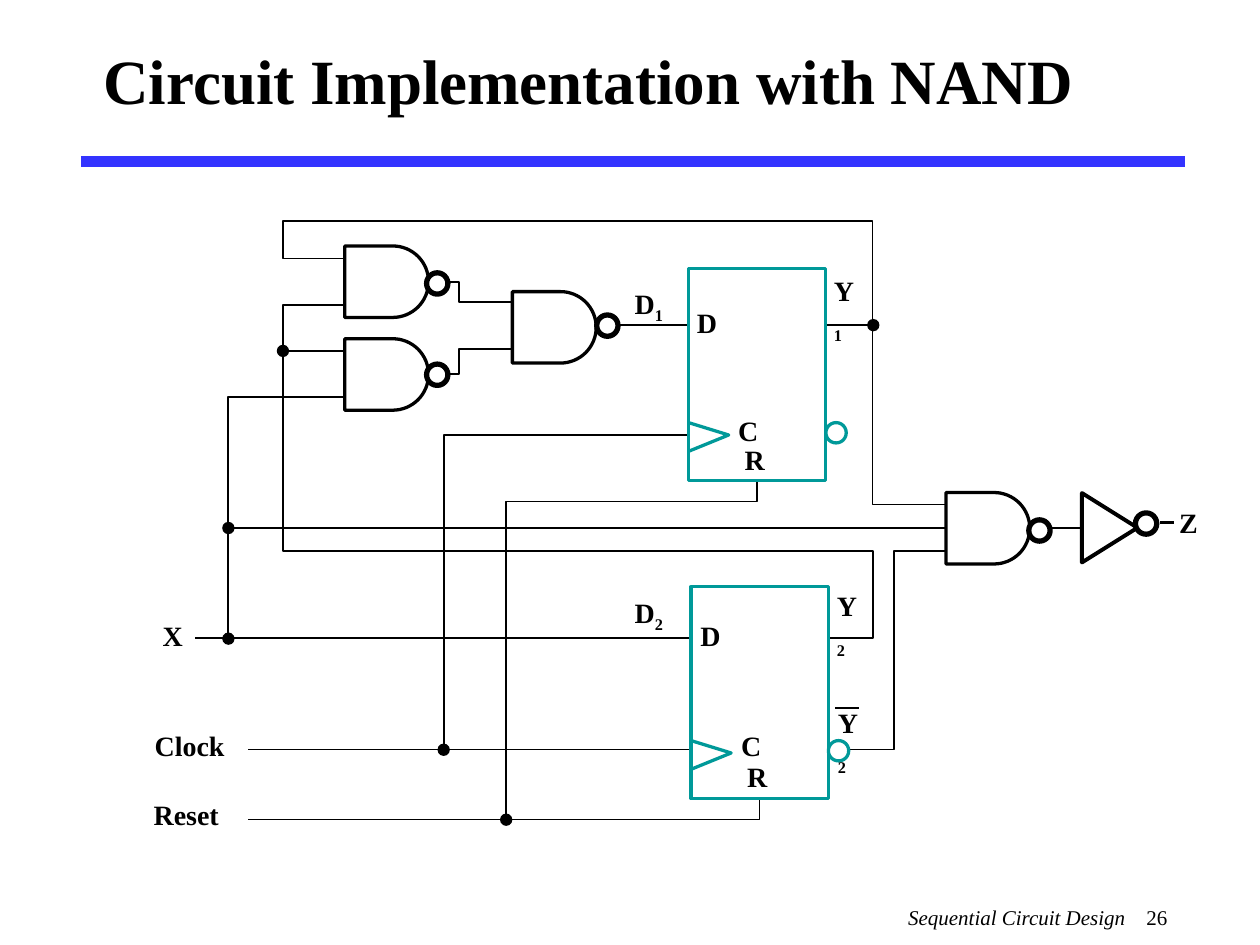
from dataclasses import dataclass
from math import cos, pi, sin

from lxml import etree
from pptx import Presentation
from pptx.dml.color import RGBColor
from pptx.enum import shapes, text
from pptx.oxml.ns import qn
from pptx.util import Cm, Pt


@dataclass(frozen=True)
class Theme:
    font: str = "Times New Roman"
    black: RGBColor = RGBColor(0, 0, 0)
    white: RGBColor = RGBColor(255, 255, 255)
    teal: RGBColor = RGBColor(0x00, 0x99, 0x99)
    blue: RGBColor = RGBColor(0x33, 0x33, 0xFF)
    title: int = 36
    label: int = 16
    footer: int = 12
    wire: float = 1
    bar: float = 1.5
    outline: float = 1.87
    inverter: float = 2.25
    bubble: float = 3
    rule: float = 6


T = Theme()
SHAPE = shapes.MSO_SHAPE
ALIGN = text.PP_ALIGN

prs = Presentation()
prs.slide_width, prs.slide_height = Cm(25.4), Cm(19.05)
s = prs.slides.add_slide(prs.slide_layouts[5])


def paint(sp, fill, line, width):
    sp.shadow.inherit = False
    if fill is None:
        sp.fill.background()
    else:
        sp.fill.solid()
        sp.fill.fore_color.rgb = fill
    if line is None:
        sp.line.fill.background()
    else:
        sp.line.color.rgb = line
        sp.line.width = Pt(width)


def write(p, content, size, bold=False, italic=False):
    r = p.add_run()
    r.text = content
    r.font.name, r.font.size = T.font, Pt(size)
    r.font.bold, r.font.italic = bold, italic
    r.font.color.rgb = T.black
    return r


title = s.shapes.title
title.left, title.top, title.width, title.height = Cm(1.83), Cm(0.18), Cm(21.59), Cm(2.84)
tf = title.text_frame
tf.vertical_anchor = text.MSO_ANCHOR.MIDDLE
p = tf.paragraphs[0]
p.alignment = ALIGN.LEFT
write(p, "Circuit Implementation with NAND", T.title, bold=True)

footer = s.shapes.add_textbox(Cm(18.06), Cm(18.11), Cm(5.92), Cm(0.94))
footer.text_frame.word_wrap = True
p = footer.text_frame.paragraphs[0]
tabs = etree.SubElement(p._p.get_or_add_pPr(), qn("a:tabLst"))
etree.SubElement(tabs, qn("a:tab"), pos=str(Cm(4.8)), algn="l")
write(p, "Sequential Circuit Design\t", T.footer, italic=True)
write(p, "26", T.footer)

straight_lines = [
    (1.63, 3.26, 23.88, 3.26, T.blue, T.rule),
    (4.57, 10.64, 21.79, 10.64, T.black, T.wire),
    (5.69, 7.07, 7.42, 7.07, T.black, T.wire),
    (17.6, 6.55, 10.62, 6.55, T.black, T.wire),
    (23.39, 10.54, 23.67, 10.54, T.black, T.bar),
    (16.84, 14.27, 17.32, 14.27, T.black, T.bar),
]
for x1, y1, x2, y2, color, width in straight_lines:
    c = s.shapes.add_connector(shapes.MSO_CONNECTOR.STRAIGHT, Cm(x1), Cm(y1), Cm(x2), Cm(y2))
    c.line.color.rgb, c.line.width = color, Pt(width)
    etree.SubElement(c._element.spPr, qn("a:effectLst"))

wires = [
    [(7.8, 5.21), (5.7, 5.21), (5.7, 4.46), (17.59, 4.46), (17.59, 10.17), (19.81, 10.17)],
    [(7.8, 6.15), (5.7, 6.15), (5.7, 11.11), (17.6, 11.11), (17.6, 12.86), (3.94, 12.86)],
    [(19.53, 11.11), (18.02, 11.11), (18.02, 15.11), (5, 15.11)],
    [(15.31, 14.43), (15.31, 16.52), (5, 16.52)],
    [(7.34, 8.01), (4.6, 8.01), (4.6, 12.88)],
    [(7.39, 5.69), (9.25, 5.69), (9.25, 6.09), (10.36, 6.09)],
    [(7.39, 7.54), (9.25, 7.54), (9.25, 7.04), (10.36, 7.04)],
    [(15.42, 8.77), (8.95, 8.77), (8.95, 15.11)],
    [(10.2, 16.51), (10.2, 10.11), (15.26, 10.11), (15.26, 8.97)],
]
flip_flops = [(13.88, 5.42), (13.93, 11.83)]
FLAT, RADIUS, STEPS = 0.97, 0.72, 32

parts = [(None, pts, None, T.black, T.wire) for pts in wires]
for x, y in flip_flops:
    clock_y = y + 3.1
    wedge = [(x, clock_y), (x + 0.81, clock_y + 0.25), (x, clock_y + 0.58)]
    parts += [
        (SHAPE.RECTANGLE, (x, y, 2.77, 4.27), T.white, T.teal, T.outline),
        (SHAPE.OVAL, (x + 2.77, y + 3.1, 0.41, 0.41), T.white, T.teal, T.outline),
        (None, wedge, None, T.teal, T.outline),
    ]
for x, y in [(4.6, 10.64), (4.6, 12.87), (5.7, 7.07), (8.94, 15.11), (17.6, 6.55), (10.2, 16.52)]:
    parts.append((SHAPE.OVAL, (x - 0.12, y - 0.12, 0.25, 0.25), T.black, None, 0))
for x, y in [(19.07, 9.93), (6.95, 6.83), (6.95, 4.96), (10.33, 5.88)]:
    angles = [-pi / 2 + pi * i / STEPS for i in range(STEPS + 1)]
    arc = [(x + FLAT + RADIUS * cos(a), y + RADIUS + RADIUS * sin(a)) for a in angles]
    gate = [(x, y), *arc, (x, y + 2 * RADIUS), (x, y)]
    parts.append((None, gate, T.white, T.black, T.outline))
parts.append((SHAPE.ISOSCELES_TRIANGLE, (21.67, 10.08, 1.4, 1.12), None, T.black, T.inverter))
for x, y in [(12.03, 6.35), (8.6, 7.34), (8.6, 5.5), (20.74, 10.48), (22.89, 10.34)]:
    parts.append((SHAPE.OVAL, (x, y, 0.43, 0.43), T.white, T.black, T.bubble))

for kind, geometry, fill, line, width in parts:
    if kind is None:
        start, *rest = [(Cm(x), Cm(y)) for x, y in geometry]
        fb = s.shapes.build_freeform(*start)
        fb.add_line_segments(rest, close=start == rest[-1])
        sp = fb.convert_to_shape()
    else:
        sp = s.shapes.add_shape(kind, *[Cm(v) for v in geometry])
    paint(sp, fill, line, width)
    if kind == SHAPE.ISOSCELES_TRIANGLE:
        sp.rotation = 90

labels = [
    ("X", "", 3.28, 12.47, 0.38),
    ("Clock", "", 3.12, 14.68, 1.52),
    ("Reset", "", 3.1, 16.08, 1.57),
    ("D", "", 14.05, 6.15, 0.41),
    ("C", "", 14.88, 8.33, 0.36),
    ("R", "", 15.01, 8.92, 0.38),
    ("D", "", 14.12, 12.47, 0.41),
    ("C", "", 14.94, 14.68, 0.36),
    ("R", "", 15.06, 15.32, 0.38),
    ("Z", "", 23.77, 10.19, 0.33),
    ("Y", "1", 16.81, 5.51, 0.53),
    ("Y", "2", 16.87, 11.86, 0.53),
    ("Y", "2", 16.89, 14.22, 0.53),
    ("D", "1", 12.7, 5.77, 0.76),
    ("D", "2", 12.7, 12.01, 0.76),
]
for name, index, x, y, w in labels:
    tf = s.shapes.add_textbox(Cm(x), Cm(y), Cm(w), Cm(0.76 if index else 0.69)).text_frame
    tf.margin_left = tf.margin_top = tf.margin_right = tf.margin_bottom = 0
    tf.word_wrap = bool(index)
    p = tf.paragraphs[0]
    p.alignment = ALIGN.CENTER if name == "D" and index else ALIGN.LEFT
    write(p, name, T.label, bold=True)
    if index:
        r = write(p, index, T.label, bold=True)
        r.font._element.set("baseline", "-25000")

prs.save("out.pptx")
